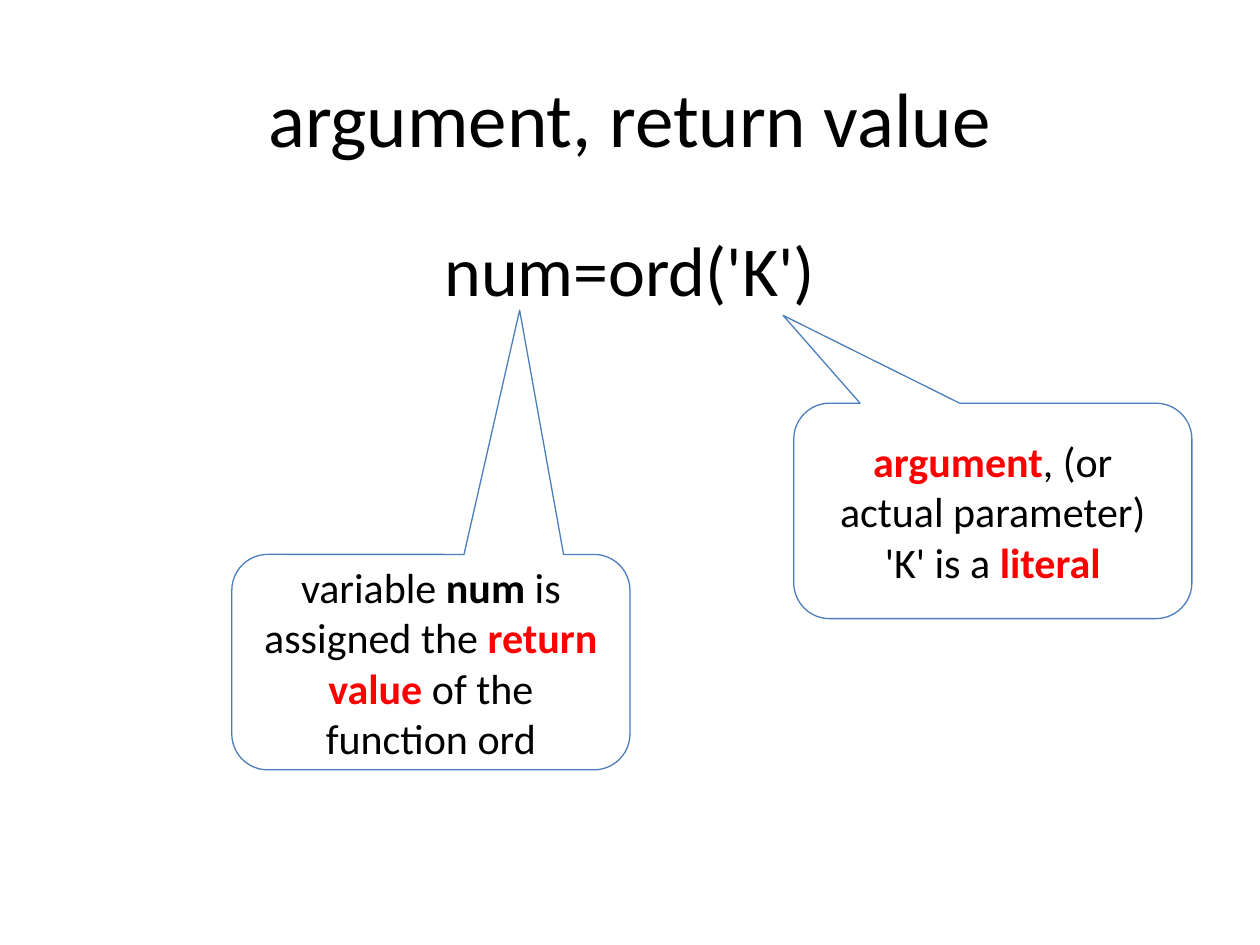
"""Build a slide that explains the argument and return value of a function call."""
from pptx import Presentation
from pptx import util as u
from pptx.dml.color import RGBColor
from pptx.enum import shapes, text

BLACK, RED, BLUE = "000000", "FF0000", "4B7EBC"


def color(value):
    return RGBColor.from_string(value)


def write(frame, paragraphs, size, anchor):
    frame.word_wrap = True
    frame.vertical_anchor = anchor
    for index, spans in enumerate(paragraphs):
        para = frame.paragraphs[0] if index == 0 else frame.add_paragraph()
        para.alignment = text.PP_ALIGN.CENTER
        para.font.name = "Calibri"
        para.font.size = u.Pt(size)
        para.font.color.rgb = color(BLACK)
        for words, bold, ink in spans:
            span = para.add_run()
            span.text = words
            if bold:
                span.font.bold = True
            if ink != BLACK:
                span.font.color.rgb = color(ink)


deck = Presentation()
deck.slide_width, deck.slide_height = u.Inches(10), u.Inches(7.5)
page = deck.slides.add_slide(deck.slide_layouts[6])
margin = deck.slide_width * 0.05
content_width = deck.slide_width - 2 * margin

headings = [
    ("argument, return value", 0.3, 1.25, 44, text.MSO_ANCHOR.MIDDLE),
    ("num=ord('K')", 1.75, 4.95, 40, text.MSO_ANCHOR.TOP),
]
for words, top, height, size, anchor in headings:
    box = page.shapes.add_textbox(int(margin), u.Inches(top), int(content_width), u.Inches(height))
    write(box.text_frame, [[(words, False, BLACK)]], size, anchor)

callouts = [
    (1.84, 4.4, (0.223, -1.634), [
        [("variable ", False, BLACK), ("num", True, BLACK), (" is assigned the ", False, BLACK),
         ("return value", True, RED), (" of the function ord", False, BLACK)],
    ]),
    (6.3, 3.2, (-0.527, -0.908), [
        [("argument", True, RED), (", (or actual parameter)", False, BLACK)],
        [("'K' is a ", False, BLACK), ("literal", True, RED)],
    ]),
]
for left, top, pointer, paragraphs in callouts:
    callout = page.shapes.add_shape(
        shapes.MSO_SHAPE.ROUNDED_RECTANGULAR_CALLOUT,
        u.Inches(left), u.Inches(top), u.Inches(3.16), u.Inches(1.71))
    callout.adjustments[0], callout.adjustments[1] = pointer
    callout.shadow.inherit = False
    callout.fill.background()
    callout.line.color.rgb = color(BLUE)
    callout.line.width = u.Pt(0.75)
    write(callout.text_frame, paragraphs, 24, text.MSO_ANCHOR.MIDDLE)

deck.save("out.pptx")
